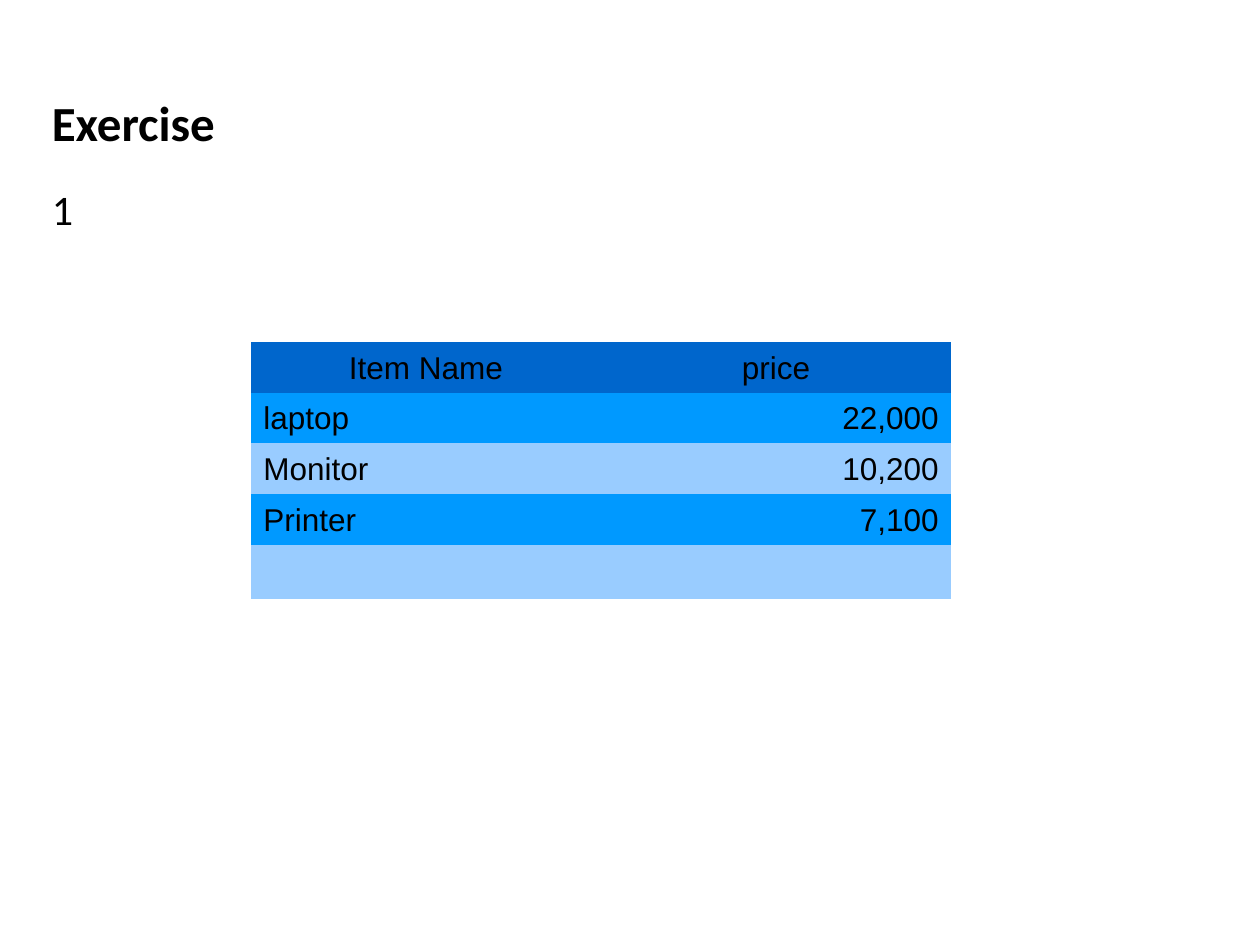
"""Build the exercise slide with its price table."""
from pptx import Presentation
from pptx.dml.color import RGBColor as Rgb
from pptx.enum.text import MSO_ANCHOR as Anchor, MSO_AUTO_SIZE as Fit, PP_ALIGN as Align
from pptx.oxml.ns import qn
from pptx.util import Cm, Pt


def paint(fill, tone):
    fill.solid()
    fill.fore_color.rgb = Rgb.from_string(tone)


def write(para, text, look):
    run = para.add_run()
    run.text = text
    for name, value in look.items():
        setattr(run.font, name, value)
    paint(run.font.fill, "000000")


deck = Presentation()
deck.slide_width, deck.slide_height = Cm(25.4), Cm(19.05)
slide = deck.slides.add_slide(deck.slide_layouts[1])
title, body = slide.placeholders

heads = [
    (title, "Exercise", Cm(1.63), Cm(1.65), Anchor.MIDDLE,
     {"name": "Calibri", "size": Pt(28), "bold": True}),
    (body, "1", Cm(3.58), Cm(13.44), Anchor.TOP,
     {"name": "Calibri", "size": Pt(24)}),
]
for shape, text, top, height, anchor, look in heads:
    place = {"left": Cm(0.79), "top": top, "width": Cm(23.8), "height": height}
    for name, value in place.items():
        setattr(shape, name, value)
    frame = shape.text_frame
    frame.auto_size, frame.vertical_anchor = Fit.NONE, anchor
    para = frame.paragraphs[0]
    para.alignment, para.space_before = Align.LEFT, Pt(0)
    write(para, text, look)

props = body.text_frame.paragraphs[0]._p.get_or_add_pPr()
props.set("marL", str(Cm(0.95)))
props.set("indent", str(-Cm(0.95)))
props.append(props.makeelement(qn("a:buNone"), {}))

rows = [
    ("Item Name", "price"),
    ("laptop", "22,000"),
    ("Monitor", "10,200"),
    ("Printer", "7,100"),
    ("", ""),
]
tones = ["0066CC", "0099FF", "99CCFF", "0099FF", "99CCFF"]
pads = {"margin_left": Cm(0.25), "margin_right": Cm(0.25),
        "margin_top": Cm(0.25), "margin_bottom": Cm(0.13)}
font = {"name": "Arial", "size": Pt(18)}

table = slide.shapes.add_table(
    len(rows), 2, Cm(5.06), Cm(6.9), Cm(14.11), Cm(5.2)).table
style = table._tbl.tblPr.find(qn("a:tableStyleId"))
style.text = "{2D5ABB26-0587-4C30-8999-92F81FD0307C}"
table.first_row = table.horz_banding = False

for i, (items, tone) in enumerate(zip(rows, tones)):
    table.rows[i].height = Cm(1.02) if items[0] else Cm(1.09)
    sides = (Align.LEFT, Align.RIGHT) if i else (Align.CENTER, Align.CENTER)
    for j, (text, side) in enumerate(zip(items, sides)):
        cell = table.cell(i, j)
        paint(cell.fill, tone)
        if text:
            for name, value in pads.items():
                setattr(cell, name, value)
            para = cell.text_frame.paragraphs[0]
            para.alignment, para.line_spacing = side, 0.87
            write(para, text, font)

deck.save("out.pptx")
